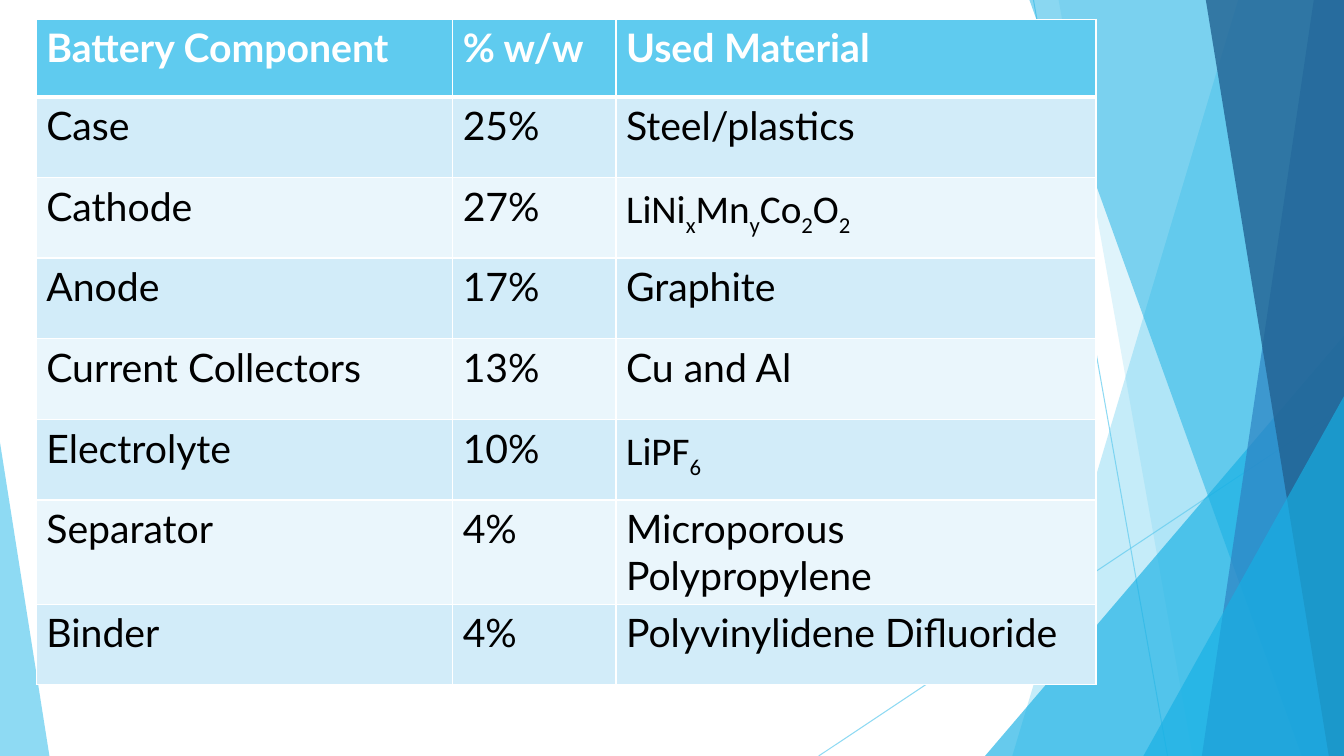
import pptx
import pptx.dml.color
import pptx.enum.shapes
import pptx.oxml
import pptx.oxml.ns
import pptx.util

PX = 9144  # 100 px to the inch
WIDTH, HEIGHT = 1333, 750

# Facets from back to front: outline points, colour, opacity in percent
RIGHT_FACETS = [
    ([(1228, 0), (1333, 0), (1333, 750), (1004, 750)], "5FCBEF", 36),
    ([(1050, 0), (1333, 0), (1333, 750), (1183, 750)], "5FCBEF", 20),
    ((977, 333, 356, 417, 1), "17B0E4", 66),
    ([(1021, 0), (1333, 0), (1333, 750), (1291, 750)], "17B0E4", 50),
    ([(1303, 0), (1333, 0), (1333, 750), (1192, 750)], "2E83C3", 70),
    ([(1196, 0), (1333, 0), (1333, 750), (1318, 750)], "226292", 80),
    ((1134, 393, 199, 357, 1), "17B0E4", 66),
    ((0, 439, 49, 311, 0), "5FCBEF", 70),
]
RAYS = [(1025, 0, 1158, 750), (1333, 403, 812, 750)]

# Text between underscores is set as subscript
ROWS = [
    ("Battery Component", "% w/w", "Used Material"),
    ("Case", "25%", "Steel/plastics"),
    ("Cathode", "27%", "LiNi_x_Mn_y_Co_2_O_2"),
    ("Anode", "17%", "Graphite"),
    ("Current Collectors", "13%", "Cu and Al"),
    ("Electrolyte", "10%", "LiPF_6_"),
    ("Separator", "4%", "Microporous Polypropylene"),
    ("Binder", "4%", "Polyvinylidene Difluoride"),
]
COLUMN_WIDTHS = [413, 162, 476]
HEADER_HEIGHT, ROW_HEIGHT = 77, 80


def px(*lengths):
    return [pptx.util.Emu(length * PX) for length in lengths]


def rgb(value):
    return pptx.dml.color.RGBColor.from_string(value)


def apply_format(target, values):
    for name, value in values.items():
        setattr(target, name, value)


def set_opacity(fill_owner, percent):
    for colour in fill_owner.iter(pptx.oxml.ns.qn("a:srgbClr")):
        colour.append(pptx.oxml.parse_xml(
            f'<a:alpha {pptx.oxml.ns.nsdecls("a")} val="{percent * 1000}"/>'))


def paint_facet(shape, colour, opacity):
    shape.shadow.inherit = False
    shape.fill.solid()
    shape.fill.fore_color.rgb = rgb(colour)
    shape.line.fill.background()
    set_opacity(shape.fill._xPr, opacity)


def add_facets(page):
    """Translucent facets and thin rays at the slide's edges."""
    group = page.shapes.add_group_shape().shapes
    for ray in RAYS:
        line = group.add_connector(pptx.enum.shapes.MSO_CONNECTOR.STRAIGHT, *px(*ray))
        line.line.color.rgb = rgb("5FCBEF")
        line.line.width = pptx.util.Pt(0.75)
        properties = line._element.spPr
        set_opacity(properties, 70)
        properties.append(pptx.oxml.parse_xml(
            f'<a:effectLst {pptx.oxml.ns.nsdecls("a")}/>'))
    for outline, colour, opacity in RIGHT_FACETS:
        if isinstance(outline, list):
            builder = group.build_freeform(*outline[0], scale=PX)
            builder.add_line_segments(outline[1:], close=True)
            facet = builder.convert_to_shape()
        else:
            *box, apex = outline
            facet = group.add_shape(
                pptx.enum.shapes.MSO_SHAPE.ISOSCELES_TRIANGLE, *px(*box))
            facet.adjustments[0] = apex
        paint_facet(facet, colour, opacity)


def set_borders(cell, widths):
    properties = cell._tc.get_or_add_tcPr()
    for side, points in widths.items():
        properties.append(pptx.oxml.parse_xml(
            f'<a:ln{side} {pptx.oxml.ns.nsdecls("a")} w="{points * 12700}">'
            '<a:solidFill><a:srgbClr val="FFFFFF"/></a:solidFill>'
            f'</a:ln{side}>'))


def fill_cell(cell, text, row):
    header = row == 0
    set_borders(cell, {"L": 1, "R": 1, "T": 3 if row == 1 else 1, "B": 3 if header else 1})
    cell.fill.solid()
    cell.fill.fore_color.rgb = rgb(
        "5FCBEF" if header else "D2ECF9" if row % 2 else "EAF6FC")
    para = cell.text_frame.paragraphs[0]
    formula = "_" in text
    if formula:
        apply_format(para, {"line_spacing": 1.07, "space_after": pptx.util.Pt(8)})
    for index, piece in enumerate(text.split("_")):
        if not piece:
            continue
        span = para.add_run()
        span.text = piece
        apply_format(span.font, {
            "name": "Calibri" if formula else "Lato",
            "size": pptx.util.Pt(28),
            "bold": header,
        })
        span.font.color.rgb = rgb("FFFFFF" if header else "000000")
        if index % 2:
            span._r.get_or_add_rPr().set("baseline", "-25000")


def add_materials_table(page, left, top):
    """Battery components with their share by weight and material."""
    heights = [HEADER_HEIGHT] + [ROW_HEIGHT] * (len(ROWS) - 1)
    table = page.shapes.add_table(
        len(ROWS), len(COLUMN_WIDTHS),
        *px(left, top, sum(COLUMN_WIDTHS), sum(heights))).table
    table.horz_banding = False
    for column, width in zip(table.columns, px(*COLUMN_WIDTHS)):
        column.width = width
    for row, height in enumerate(px(*heights)):
        table.rows[row].height = height
        for column, text in enumerate(ROWS[row]):
            fill_cell(table.cell(row, column), text, row)


def main():
    deck = pptx.Presentation()
    deck.slide_width, deck.slide_height = px(WIDTH, HEIGHT)
    page = deck.slides.add_slide(deck.slide_layouts[6])
    add_facets(page)
    add_materials_table(page, 36, 19)
    deck.save("out.pptx")


if __name__ == "__main__":
    main()
